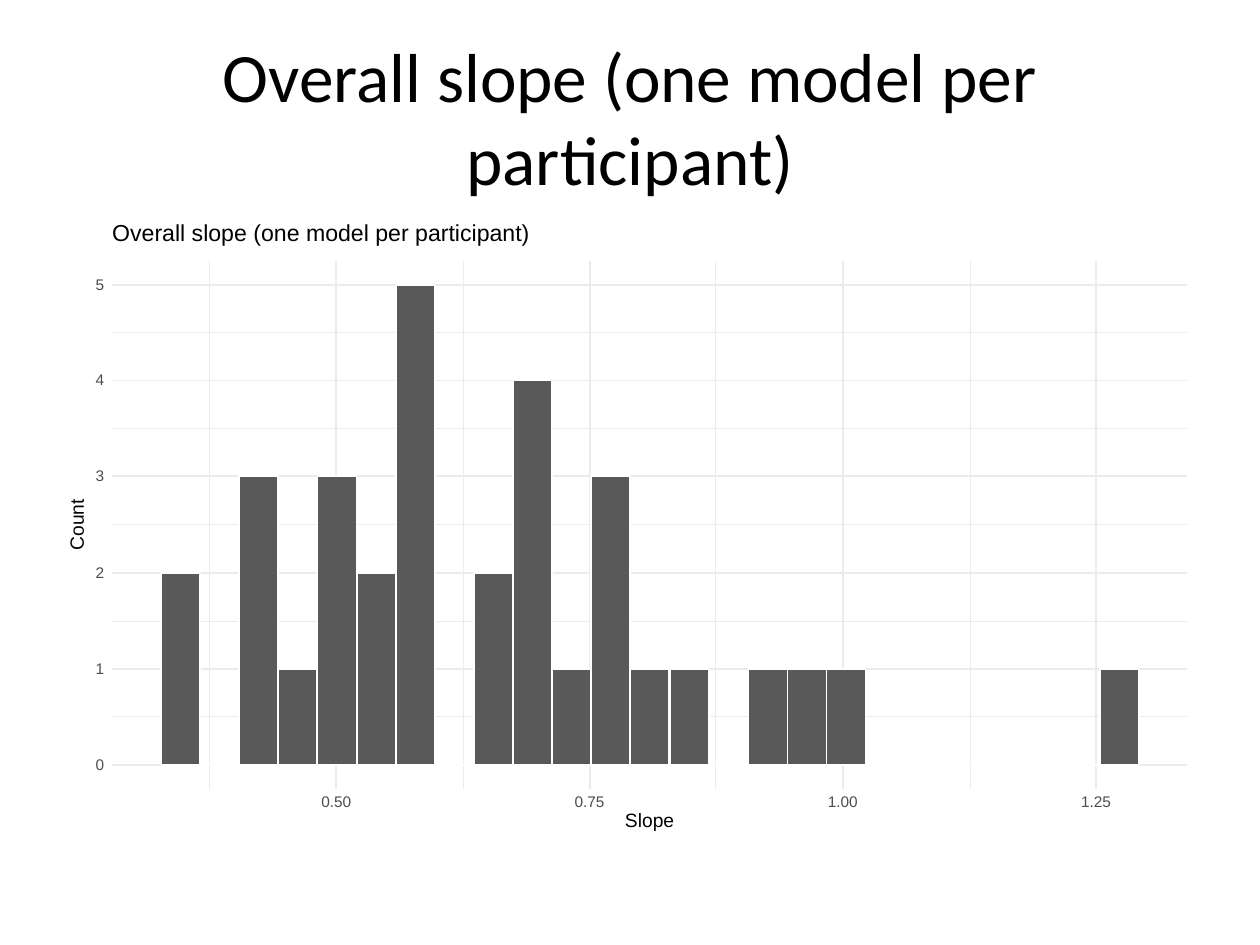
from dataclasses import dataclass

from lxml.etree import SubElement
from pptx import Presentation
from pptx.dml.color import RGBColor
from pptx.enum.shapes import MSO_CONNECTOR, MSO_SHAPE
from pptx.enum.text import MSO_ANCHOR, PP_ALIGN
from pptx.oxml.ns import qn
from pptx.shapes.shapetree import GroupShapes
from pptx.util import Emu, Pt

EMU_PER_PX = 9144
WHITE = RGBColor(0xFF, 0xFF, 0xFF)
BLACK = RGBColor(0x00, 0x00, 0x00)
GRID_GREY = RGBColor(0xEB, 0xEB, 0xEB)
BAR_GREY = RGBColor(0x59, 0x59, 0x59)
TICK_GREY = RGBColor(0x4D, 0x4D, 0x4D)

TITLE = "Overall slope (one model per participant)"
COUNTS = [2, 0, 3, 1, 3, 2, 5, 0, 2, 4, 1, 3, 1, 1, 0, 1, 1, 1, 0, 0, 0, 0, 0, 0, 1]
SLOPE_TICKS = ["0.50", "0.75", "1.00", "1.25"]
MAX_COUNT = 5
PLOT_LEFT, PLOT_RIGHT, PLOT_TOP, PLOT_BOTTOM = 89, 942, 207, 626
BASELINE, TOP_COUNT_Y = 607, 226
FIRST_BIN, LAST_BIN, BAR_WIDTH = 128, 873, 31
FIRST_TICK, TICK_STEP = 267, 201
MINOR_WIDTH, MAJOR_WIDTH = 0.53, 1.07


@dataclass(frozen=True)
class Box:
    left: int
    top: int
    width: int
    height: int

    def emu(self) -> tuple[Emu, ...]:
        return tuple(px(n) for n in (self.left, self.top, self.width, self.height))


@dataclass(frozen=True)
class Label:
    text: str
    box: Box
    size: float
    color: RGBColor = BLACK
    rotation: int = 0


def px(length: int) -> Emu:
    return Emu(length * EMU_PER_PX)


def count_y(count: float) -> int:
    return round(BASELINE - (BASELINE - TOP_COUNT_Y) * count / MAX_COUNT)


def tick_x(index: float) -> int:
    return round(FIRST_TICK + TICK_STEP * index)


def draw_rectangle(shapes: GroupShapes, box: Box, fill: RGBColor, line_width: float) -> None:
    shape = shapes.add_shape(MSO_SHAPE.RECTANGLE, *box.emu())
    shape.shadow.inherit = False
    shape.fill.solid()
    shape.fill.fore_color.rgb = fill
    shape.line.color.rgb = WHITE
    shape.line.width = Pt(line_width)


def draw_line(shapes: GroupShapes, x1: int, y1: int, x2: int, y2: int, width: float) -> None:
    connector = shapes.add_connector(MSO_CONNECTOR.STRAIGHT, px(x1), px(y1), px(x2), px(y2))
    connector.line.color.rgb = GRID_GREY
    connector.line.width = Pt(width)
    SubElement(connector._element.spPr, qn("a:effectLst"))


def draw_grid(shapes: GroupShapes, counts: list[float], ticks: list[float], width: float) -> None:
    for count in counts:
        draw_line(shapes, PLOT_LEFT, count_y(count), PLOT_RIGHT, count_y(count), width)
    for tick in ticks:
        draw_line(shapes, tick_x(tick), PLOT_BOTTOM, tick_x(tick), PLOT_TOP, width)


def draw_bars(shapes: GroupShapes) -> None:
    step = (LAST_BIN - FIRST_BIN) / (len(COUNTS) - 1)
    for index, count in enumerate(COUNTS):
        top = count_y(count)
        box = Box(round(FIRST_BIN + step * index), top, BAR_WIDTH, BASELINE - top)
        draw_rectangle(shapes, box, BAR_GREY, MAJOR_WIDTH)


def draw_label(shapes: GroupShapes, label: Label) -> None:
    shape = shapes.add_textbox(*label.box.emu())
    shape.rotation = label.rotation
    text_frame = shape.text_frame
    text_frame.text = label.text
    text_frame.word_wrap = False
    text_frame.vertical_anchor = MSO_ANCHOR.MIDDLE
    text_frame.margin_left = text_frame.margin_right = 0
    text_frame.margin_top = text_frame.margin_bottom = 0
    paragraph = text_frame.paragraphs[0]
    paragraph.line_spacing = Pt(label.size)
    font = paragraph.runs[0].font
    font.name = "Arial"
    font.size = Pt(label.size)
    font.color.rgb = label.color


def chart_labels() -> list[Label]:
    counts = [
        Label(str(count), Box(76, count_y(count) - 4, 7, 9), 8.8, TICK_GREY)
        for count in range(MAX_COUNT + 1)
    ]
    slopes = [
        Label(text, Box(tick_x(index) - 12, 633, 25, 9), 8.8, TICK_GREY)
        for index, text in enumerate(SLOPE_TICKS)
    ]
    return counts + slopes + [
        Label("Slope", Box(496, 645, 42, 14), 11),
        Label("Count", Box(41, 410, 42, 12), 11, rotation=270),
        Label(TITLE, Box(PLOT_LEFT, 178, 338, 17), 13.2),
    ]


def main() -> None:
    presentation = Presentation()
    presentation.slide_width = px(1000)
    presentation.slide_height = px(750)
    slide = presentation.slides.add_slide(presentation.slide_layouts[6])

    title = slide.shapes.add_textbox(*Box(50, 30, 900, 125).emu())
    title.text_frame.text = TITLE
    title.text_frame.word_wrap = True
    title.text_frame.vertical_anchor = MSO_ANCHOR.MIDDLE
    paragraph = title.text_frame.paragraphs[0]
    paragraph.alignment = PP_ALIGN.CENTER
    font = paragraph.runs[0].font
    font.name = "Calibri"
    font.size = Pt(39.6)
    font.color.rgb = BLACK

    histogram = slide.shapes.add_group_shape().shapes
    draw_rectangle(histogram, Box(50, 175, 900, 495), WHITE, 0.75)
    half_counts = [count + 0.5 for count in range(MAX_COUNT)]
    half_ticks = [index - 0.5 for index in range(len(SLOPE_TICKS))]
    draw_grid(histogram, half_counts, half_ticks, MINOR_WIDTH)
    draw_grid(histogram, list(range(MAX_COUNT + 1)), list(range(len(SLOPE_TICKS))), MAJOR_WIDTH)
    draw_bars(histogram)
    for label in chart_labels():
        draw_label(histogram, label)

    presentation.save("out.pptx")


if __name__ == "__main__":
    main()
